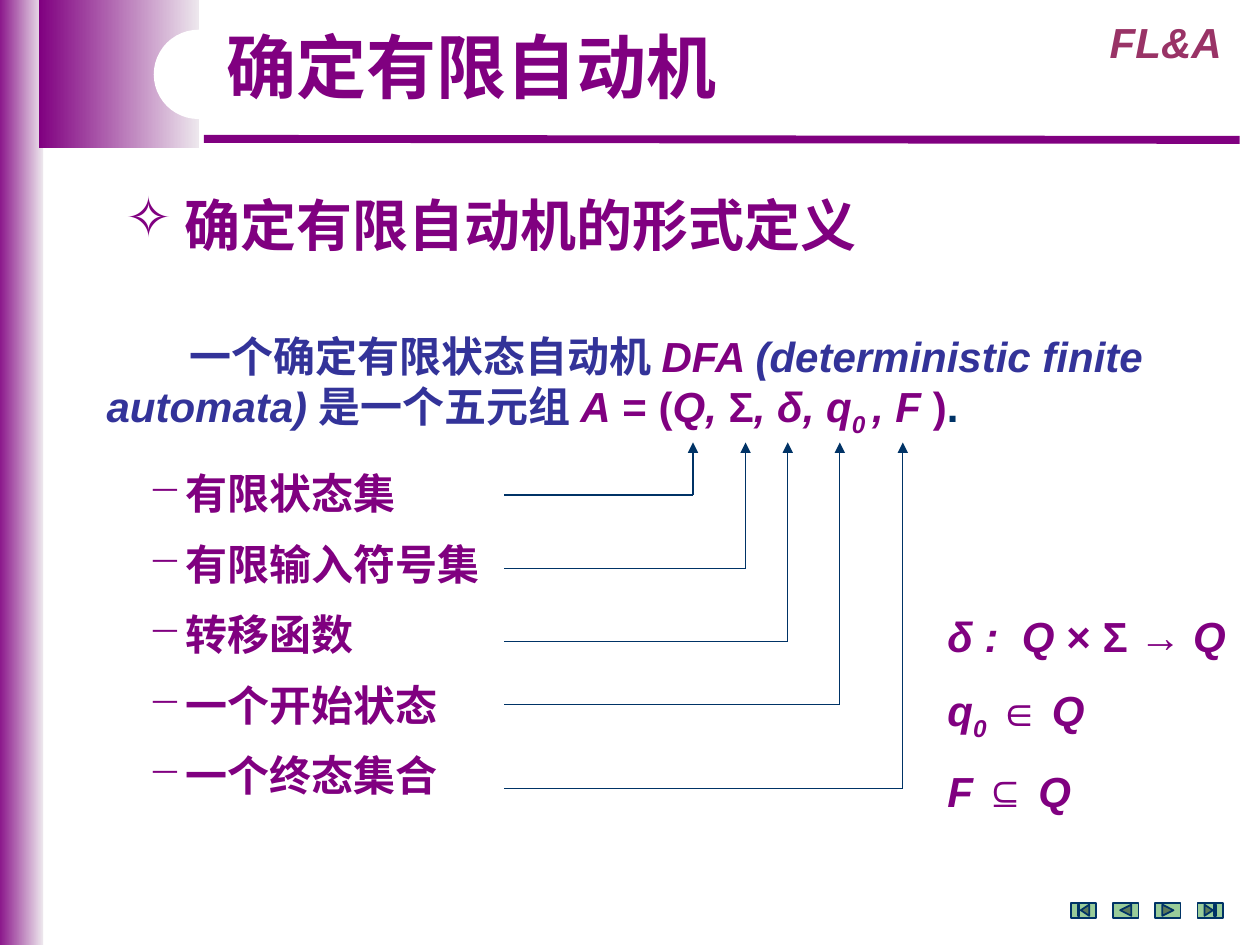
from lxml.etree import SubElement
from pptx import Presentation
from pptx.dml.color import RGBColor
from pptx.enum.shapes import MSO_CONNECTOR, MSO_SHAPE
from pptx.enum.text import MSO_ANCHOR, MSO_AUTO_SIZE, PP_ALIGN
from pptx.oxml.ns import qn
from pptx.util import Cm, Pt

COLORS = {"purple": "800080", "pale": "EDE7ED", "blue": "333399", "navy": "003366",
          "rose": "993366", "green": "99CC99", "white": "FFFFFF"}

TITLE = "确定有限自动机"
COURSE = [[("FL&A", "rose", "i")]]
HEADING = [[("确定有限自动机的形式定义", "purple", "")]]
DEFINITION = [
    [("一个确定有限状态自动机 ", "blue", ""), ("DFA ", "purple", "i"),
     ("(deterministic finite", "blue", "i")],
    [("automata) ", "blue", "i"), ("是一个五元组 ", "blue", ""), ("A", "purple", "i"),
     (" = (", "purple", ""), ("Q, ", "purple", "i"), ("Σ", "purple", ""),
     (", δ, q", "purple", "i"), ("0 ", "purple", "is"), (", F ", "purple", "i"),
     (")", "purple", ""), (".", "navy", "")],
]
COMPONENTS = ["有限状态集", "有限输入符号集", "转移函数", "一个开始状态", "一个终态集合"]
CONDITIONS = [
    [("δ :  Q ", "purple", "i"), ("× Σ → ", "purple", ""), ("Q", "purple", "i")],
    [("q", "purple", "i"), ("0", "purple", "is"), (" ∈ ", "purple", ""), ("Q", "purple", "i")],
    [("F", "purple", "i"), (" ⊆ ", "purple", ""), ("Q", "purple", "i")],
]
ARROWS = [(13.97, 9.98), (15.03, 11.46), (15.88, 12.93), (16.93, 14.2), (18.2, 15.9)]
ARROW_LEFT, ARROW_TOP = 10.16, 8.92
BUTTONS = [MSO_SHAPE.ACTION_BUTTON_BEGINNING, MSO_SHAPE.ACTION_BUTTON_BACK_OR_PREVIOUS,
           MSO_SHAPE.ACTION_BUTTON_FORWARD_OR_NEXT, MSO_SHAPE.ACTION_BUTTON_END]


def color(name):
    return RGBColor.from_string(COLORS[name])


def add_panel(kind, left, top, width, height, fill):
    panel = page.shapes.add_shape(kind, Cm(left), Cm(top), Cm(width), Cm(height))
    panel.shadow.inherit = False
    panel.line.fill.background()
    if fill == "gradient":
        panel.fill.gradient()
        panel.fill.gradient_angle = 0
        for stop, name in zip(panel.fill.gradient_stops, ("purple", "pale")):
            stop.color.rgb = color(name)
    else:
        panel.fill.solid()
        panel.fill.fore_color.rgb = color(fill)
    return panel


def add_line(start, end, name, width, arrow=False):
    line = page.shapes.add_connector(MSO_CONNECTOR.STRAIGHT, *map(Cm, start + end))
    line.line.color.rgb = color(name)
    line.line.width = Pt(width)
    if arrow:
        SubElement(line.line._get_or_add_ln(), qn("a:tailEnd"), type="triangle")
    SubElement(line._element.spPr, qn("a:effectLst"))


def format_font(font, size, name, face="Arial"):
    font.size, font.name, font.bold = Pt(size), face, True
    font.color.rgb = color(name)


def add_text(left, top, width, height, lines, size=24, bullet=None, hang=0,
             first_indent=0, gap=0, align=PP_ALIGN.LEFT):
    box = page.shapes.add_textbox(Cm(left), Cm(top), Cm(width), Cm(height))
    frame = box.text_frame
    frame.word_wrap = True
    for index, spans in enumerate(lines):
        para = frame.paragraphs[0] if index == 0 else frame.add_paragraph()
        para.alignment = align
        if index:
            para.space_before = Pt(gap)
        properties = para._p.get_or_add_pPr()
        if bullet:
            properties.set("marL", str(Cm(hang)))
            properties.set("indent", str(-Cm(hang)))
            SubElement(properties, qn("a:buChar"), char=bullet)
        elif index == 0 and first_indent:
            properties.set("indent", str(Cm(first_indent)))
        for text, name, style in spans:
            span = para.add_run()
            span.text = text
            format_font(span.font, size, name)
            span.font.italic = "i" in style
            if "s" in style:
                span.font._element.set("baseline", "-25000")


deck = Presentation()
deck.slide_width, deck.slide_height = Cm(25.4), Cm(19.05)
page = deck.slides.add_slide(deck.slide_layouts[5])

add_panel(MSO_SHAPE.RECTANGLE, -0.1, 0, 0.97, 19.13, "gradient")
add_panel(MSO_SHAPE.RECTANGLE, 0.79, 0, 3.22, 2.98, "gradient")
add_line((4.11, 2.8), (24.99, 2.82), "purple", 4.5)
add_panel(MSO_SHAPE.ROUNDED_RECTANGLE, 3.1, 0.6, 9.2, 1.8, "white").adjustments[0] = 0.5

title = page.shapes.title
title.left, title.top, title.width, title.height = map(Cm, (4.1, 0.53, 10.8, 1.78))
title.text_frame.text = TITLE
title.text_frame.auto_size = MSO_AUTO_SIZE.NONE
title.text_frame.vertical_anchor = MSO_ANCHOR.MIDDLE
heading = title.text_frame.paragraphs[0]
heading.alignment, heading.line_spacing = PP_ALIGN.CENTER, 0.9
format_font(heading.runs[0].font, 40, "purple", "Times New Roman")
page.shapes._spTree.append(title._element)

add_text(21.9, 0.2, 3.2, 1.27, COURSE, align=PP_ALIGN.CENTER)
add_text(2.29, 3.71, 15.8, 1.6, HEADING, size=32, bullet="✧", hang=1.18)
add_text(1.9, 6.53, 22.6, 2.31, DEFINITION, first_indent=1.68)
add_text(2.74, 9.3, 7.82, 7.09, [[(text, "purple", "")] for text in COMPONENTS],
         bullet="−", hang=0.76, gap=11.5)
add_text(18.85, 12.19, 6.15, 4.19, CONDITIONS, gap=13.5)

for x, y in ARROWS:
    add_line((ARROW_LEFT, y), (x, y), "navy", 0.75)
    add_line((x, y), (x, ARROW_TOP), "navy", 0.75, arrow=True)

for index, kind in enumerate(BUTTONS):
    button = add_panel(kind, 21.59 + index * 0.85, 18.2, 0.51, 0.3, "green")
    button.line.color.rgb = color("navy")
    button.line.width = Pt(1)

deck.save("out.pptx")
